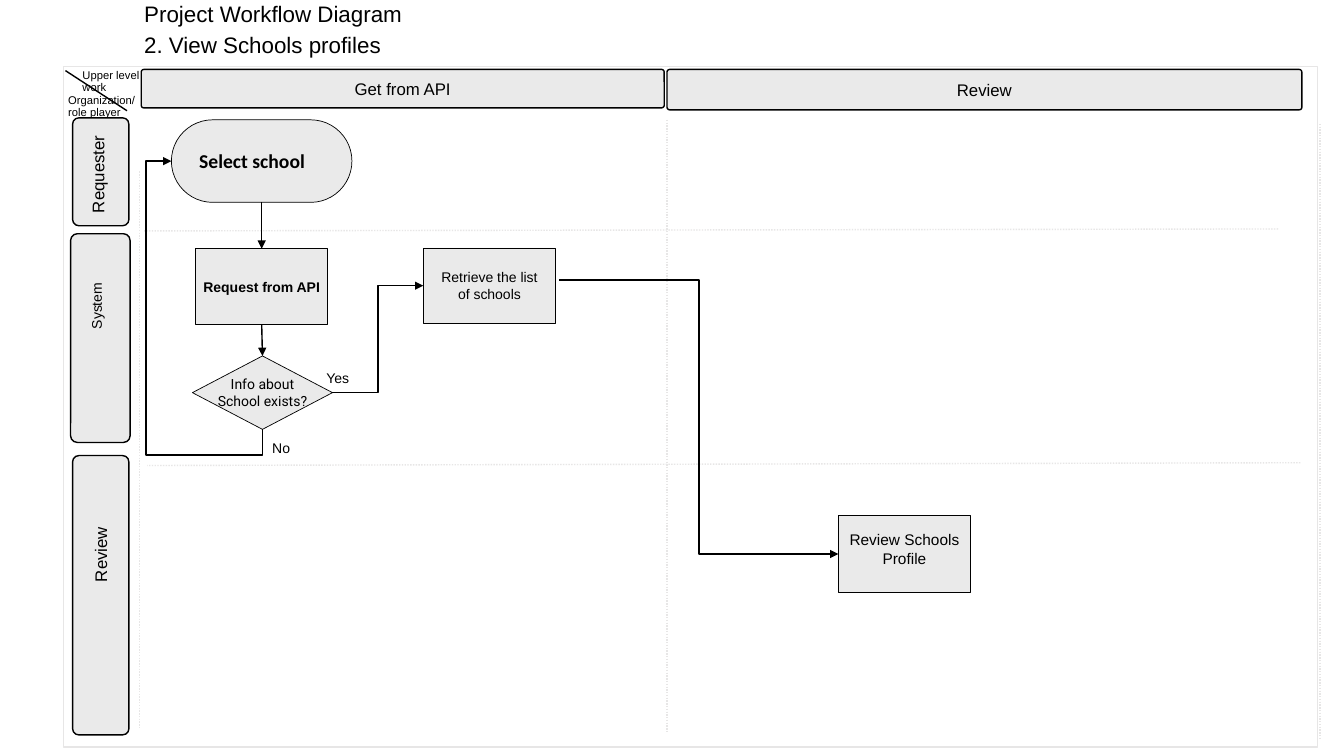
from pptx import Presentation
from pptx.dml.color import RGBColor
from pptx.enum.dml import MSO_LINE
from pptx.enum.shapes import MSO_CONNECTOR as LINK, MSO_SHAPE as SHAPE
from pptx.enum.text import MSO_ANCHOR, MSO_AUTO_SIZE, PP_ALIGN
from pptx.oxml.ns import qn
from pptx.util import Cm, Pt
from lxml.etree import SubElement

COLORS = {"ink": "000000", "fill": "EAEAEA", "grid": "E7E6E6"}
TOP, LEFT, BOTTOM, RIGHT = range(4)  # connection sites


def color(name):
    return RGBColor.from_string(COLORS[name])


def write(sp, text, size=12, font="Arial", bold=False, align=PP_ALIGN.CENTER,
          anchor=MSO_ANCHOR.MIDDLE, wrap=False, spacing=1.0, before=0):
    """Fill a shape with one paragraph per line of text."""
    tf = sp.text_frame
    tf.auto_size = MSO_AUTO_SIZE.NONE
    tf.word_wrap = wrap
    tf.vertical_anchor = anchor
    for i, line in enumerate(text.split("\n")):
        p = tf.add_paragraph() if i else tf.paragraphs[0]
        p.alignment, p.line_spacing, p.space_before = align, spacing, Pt(before)
        r = p.add_run()
        r.text = line
        r.font.name, r.font.size, r.font.bold = font, Pt(size), bold
        r.font.color.rgb = color("ink")


def add_label(slide, text, x, y, w, h, rotation=0, **fmt):
    sp = slide.shapes.add_textbox(Cm(x), Cm(y), Cm(w), Cm(h))
    sp.rotation = rotation
    write(sp, text, **fmt)


def add_box(slide, kind, x, y, w, h, fill="fill", line="ink", width=0.5,
            corner=None, text="", **fmt):
    sp = slide.shapes.add_shape(kind, Cm(x), Cm(y), Cm(w), Cm(h))
    sp.shadow.inherit = False
    if fill:
        sp.fill.solid()
        sp.fill.fore_color.rgb = color(fill)
    else:
        sp.fill.background()
    sp.line.color.rgb = color(line)
    sp.line.width = Pt(width)
    if corner is not None:
        sp.adjustments[0] = corner
    if text:
        write(sp, text, **fmt)
    return sp


def add_line(slide, x1=0, y1=0, x2=0, y2=0, kind=LINK.STRAIGHT, line="ink",
             dotted=False, arrow=False):
    cxn = slide.shapes.add_connector(kind, Cm(x1), Cm(y1), Cm(x2), Cm(y2))
    cxn.line.color.rgb = color(line)
    cxn.line.width = Pt(1)
    if dotted:
        cxn.line.dash_style = MSO_LINE.ROUND_DOT
    if arrow:
        SubElement(cxn.line._get_or_add_ln(), qn("a:tailEnd"), type="triangle")
    SubElement(cxn._element.spPr, qn("a:effectLst"))
    return cxn


def add_arrow(slide, start, start_site, end, end_site, kind=LINK.STRAIGHT):
    cxn = add_line(slide, kind=kind, arrow=True)
    cxn.begin_connect(start, start_site)
    cxn.end_connect(end, end_site)


def add_return_arrow(slide, start, end, gap):
    """Run from the bottom of start around to the left of end, gap outside both."""
    x1, y1 = start.left + start.width // 2, start.top + start.height
    x2, y2 = end.left, end.top + end.height // 2
    run, rise = x1 - x2, y1 - y2
    cxn = add_line(slide, kind=LINK.ELBOW, arrow=True)
    # The connector is laid out on its side, then turned a quarter
    cxn.left, cxn.top = (x1 + x2 - rise) // 2, (y1 + y2 - run) // 2
    cxn.width, cxn.height = rise, run
    xfrm = cxn._element.spPr.find(qn("a:xfrm"))
    xfrm.set("rot", "5400000")
    xfrm.set("flipH", "1")
    geom = cxn._element.spPr.find(qn("a:prstGeom"))
    geom.set("prst", "bentConnector4")
    guides = geom.find(qn("a:avLst"))
    for name, value in (("adj1", -gap / rise), ("adj2", 1 + gap / run)):
        SubElement(guides, qn("a:gd"), name=name, fmla=f"val {round(value * 100000)}")


def add_title(slide, x, y, w, h):
    sp = slide.shapes.title
    sp.left, sp.top, sp.width, sp.height = Cm(x), Cm(y), Cm(w), Cm(h)
    write(sp, "Project Workflow Diagram\n2. View Schools profiles", size=16,
          align=PP_ALIGN.LEFT, anchor=MSO_ANCHOR.TOP, wrap=True, before=3.2)


def add_grid(slide, x, y, w, h):
    add_box(slide, SHAPE.RECTANGLE, x, y, w, h, fill=None, line="grid", width=1)
    for x1, y1, x2, y2 in ((1.91, 2.64, 1.91, 16.66), (15.21, 1.34, 15.21, 16.81),
                           (31.67, 1.44, 31.67, 16.94), (30.61, 4.09, 2.03, 4.14),
                           (31.17, 9.98, 2.11, 10.05)):
        add_line(slide, x + x1, y + y1, x + x2, y + y2, line="grid", dotted=True)


def add_corner(slide, x, y):
    for text, dx, dy, w in (("Organization/\nrole player", -0.13, 0.58, 2.67),
                            ("Upper level\nwork", 0.23, -0.05, 2.34)):
        add_label(slide, text, x + dx, y + dy, w, 0.97, size=8, spacing=0.9,
                  align=PP_ALIGN.LEFT, anchor=MSO_ANCHOR.TOP)
    add_line(slide, x + 0.05, y + 0.1, x + 1.6, y + 1.11)


def add_headers(slide, x, y):
    for text, dx, w, h in (("Get from API", 1.96, 13.18, 0.97),
                           ("Review", 15.21, 16, 1.02)):
        add_box(slide, SHAPE.ROUNDED_RECTANGLE, x + dx, y + 0.07, w, h,
                width=1, corner=0.066, text=text)


def add_lanes(slide, x, y):
    # name, lane box, label centre, label size, text size
    lanes = (("Requester", (0.23, 1.29, 1.42, 2.72), (0.86, 2.71), (2.49, 0.76), 12),
             ("System", (0.18, 4.21, 1.5, 5.26), (0.83, 6.03), (1.7, 0.69), 10),
             ("Review", (0.23, 9.8, 1.42, 7.04), (0.93, 12.29), (1.9, 0.76), 12))
    for name, (dx, dy, w, h), (cx, cy), (lw, lh), size in lanes:
        add_box(slide, SHAPE.ROUNDED_RECTANGLE, x + dx, y + dy, w, h,
                width=1, corner=0.113)
        add_label(slide, name, x + cx - lw / 2, y + cy - lh / 2, lw, lh,
                  rotation=270, size=size)


def add_flow(slide, x, y):
    select = add_box(slide, SHAPE.ROUNDED_RECTANGLE, x + 2.72, y + 1.34, 4.55, 2.08,
                     corner=0.5, text="Select school", size=14, font="Calibri", bold=True)
    select.text_frame.margin_left, select.text_frame.margin_right = 0, Cm(0.48)
    request = add_box(slide, SHAPE.RECTANGLE, x + 3.33, y + 4.59, 3.33, 1.9,
                      text="Request from API", size=10, bold=True)
    retrieve = add_box(slide, SHAPE.RECTANGLE, x + 9.07, y + 4.57, 3.33, 1.9,
                       text="Retrieve the list\nof schools", size=10)
    exists = add_box(slide, SHAPE.DIAMOND, x + 3.25, y + 7.29, 3.53, 1.85,
                     text="Info about\nSchool exists?", size=10, font="Roboto")
    review = add_box(slide, SHAPE.RECTANGLE, x + 19.53, y + 11.3, 3.33, 1.96,
                     text="Review Schools\nProfile", size=11)
    review.text_frame.margin_bottom = Cm(0.38)

    add_arrow(slide, select, BOTTOM, request, TOP)
    add_arrow(slide, request, BOTTOM, exists, TOP)
    add_arrow(slide, exists, RIGHT, retrieve, LEFT, LINK.ELBOW)
    add_return_arrow(slide, exists, select, Cm(0.64))
    add_line(slide, x + 12.5, y + 5.38, x + 19.53, y + 12.28, LINK.ELBOW, arrow=True)
    add_label(slide, "Yes", x + 6.35, y + 7.49, 1.12, 0.69, size=10)
    add_label(slide, "No", x + 5, y + 9.27, 0.97, 0.69, size=10)


def main():
    prs = Presentation()
    prs.slide_width, prs.slide_height = Cm(33.87), Cm(19.05)
    slide = prs.slides.add_slide(prs.slide_layouts[5])
    x, y = 1.6, 1.68
    add_title(slide, 3.38, -0.13, 10.72, 1.75)
    add_grid(slide, x, y, 31.6, 17.15)
    add_corner(slide, x, y)
    add_headers(slide, x, y)
    add_lanes(slide, x, y)
    add_flow(slide, x, y)
    prs.save("out.pptx")


if __name__ == "__main__":
    main()
